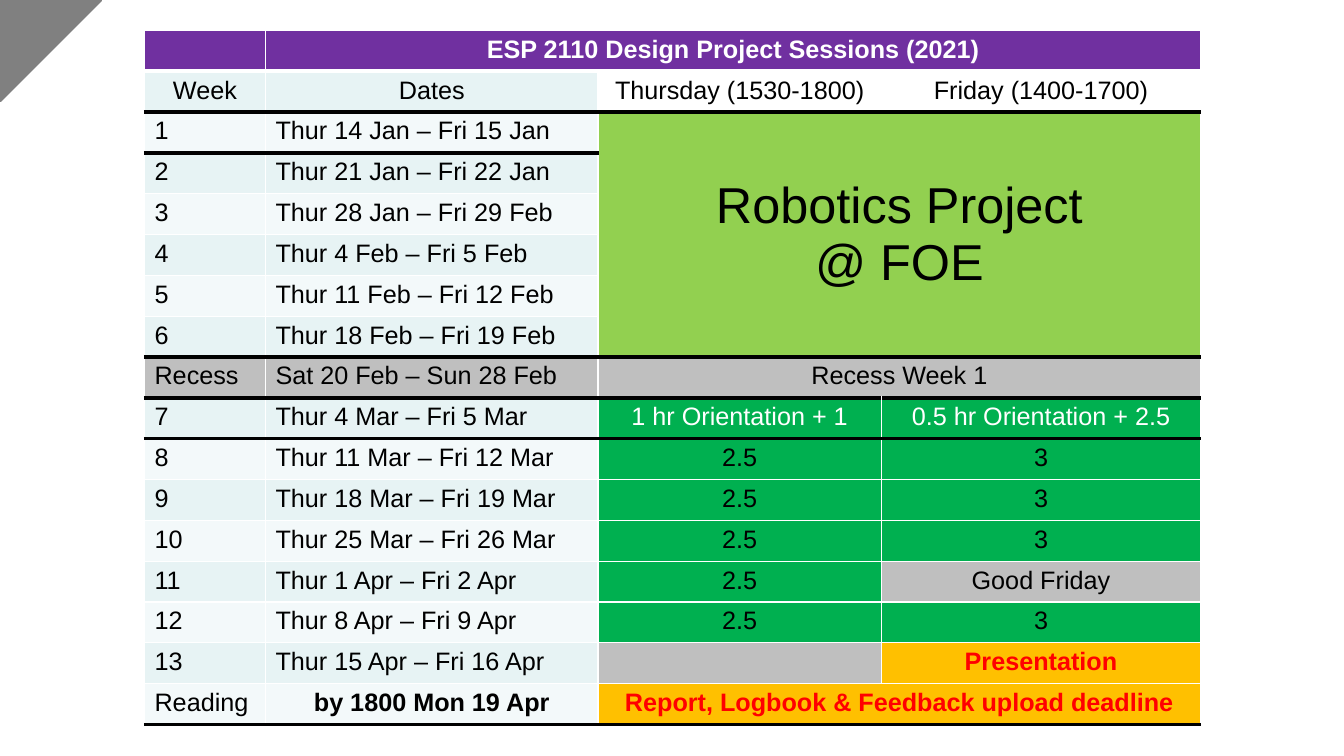
"""Build the timetable slide of the ESP 2110 design project sessions."""
from lxml import etree
from pptx import Presentation
from pptx.dml.color import RGBColor
from pptx.enum.shapes import MSO_SHAPE
from pptx.enum.text import MSO_ANCHOR, PP_ALIGN
from pptx.oxml.ns import qn
from pptx.util import Pt

COLORS = {
    "white": "FFFFFF", "black": "000000", "purple": "7030A0", "odd": "E7F3F4",
    "even": "F3F9FA", "lime": "92D050", "green": "00B050", "gray": "BFBFBF",
    "amber": "FFC000", "red": "FF0000", "corner": "808080",
}
ROWS = [
    ["", "ESP 2110 Design Project Sessions (2021)", "", ""],
    ["Week", "Dates", "Thursday (1530-1800)", "Friday (1400-1700)"],
    ["1", "Thur 14 Jan – Fri 15 Jan", "Robotics Project\n@ FOE", ""],
    ["2", "Thur 21 Jan – Fri 22 Jan", "", ""],
    ["3", "Thur 28 Jan – Fri 29 Feb", "", ""],
    ["4", "Thur 4 Feb – Fri 5 Feb", "", ""],
    ["5", "Thur 11 Feb – Fri 12 Feb", "", ""],
    ["6", "Thur 18 Feb – Fri 19 Feb", "", ""],
    ["Recess", "Sat 20 Feb – Sun 28 Feb", "Recess Week 1", ""],
    ["7", "Thur 4 Mar – Fri 5 Mar", "1 hr Orientation + 1", "0.5 hr Orientation + 2.5"],
    ["8", "Thur 11 Mar – Fri 12 Mar", "2.5", "3"],
    ["9", "Thur 18 Mar – Fri 19 Mar", "2.5", "3"],
    ["10", "Thur 25 Mar – Fri 26 Mar", "2.5", "3"],
    ["11", "Thur 1 Apr – Fri 2 Apr", "2.5", "Good Friday"],
    ["12", "Thur 8 Apr – Fri 9 Apr", "2.5", "3"],
    ["13", "Thur 15 Apr – Fri 16 Apr", "", "Presentation"],
    ["Reading", "by 1800 Mon 19 Apr", "Report, Logbook & Feedback upload deadline", ""],
]
COL_WIDTHS = [86.4, 237.6, 202.3, 228.2]
ROW_HEIGHT = 29.18
TITLE, HEADER, ROBOTICS, RECESS, WEEK_7, READING = 0, 1, 2, 8, 9, 16
MERGES = [(TITLE, 1, TITLE, 3), (ROBOTICS, 2, RECESS - 1, 3),
          (RECESS, 2, RECESS, 3), (READING, 2, READING, 3)]
BLACK_BELOW = {HEADER, ROBOTICS, RECESS - 1, RECESS, WEEK_7, READING}
SPECIAL_FILLS = {(HEADER, 2): "white", (HEADER, 3): "white", (ROBOTICS, 2): "lime",
                 (13, 3): "gray", (15, 2): "gray", (15, 3): "amber", (READING, 2): "amber"}
SPECIAL_TEXT = {(TITLE, 1): "white", (WEEK_7, 2): "white", (WEEK_7, 3): "white",
                (15, 3): "red", (READING, 2): "red"}
BOLD = {(TITLE, 1), (15, 3), (READING, 1), (READING, 2)}


def rgb(name):
    return RGBColor.from_string(COLORS[name])


def add_border(cell, side, color, width):
    ln = etree.SubElement(cell._tc.get_or_add_tcPr(), qn(f"a:ln{side}"), w=str(Pt(width)))
    fill = etree.SubElement(ln, qn("a:solidFill"))
    etree.SubElement(fill, qn("a:srgbClr"), val=COLORS[color])


prs = Presentation()
prs.slide_width, prs.slide_height = Pt(960), Pt(540)
slide = prs.slides.add_slide(prs.slide_layouts[6])

table = slide.shapes.add_table(len(ROWS), len(COL_WIDTHS), Pt(103.2), Pt(21.6),
                               Pt(sum(COL_WIDTHS)), Pt(ROW_HEIGHT * len(ROWS))).table
table.first_row = table.horz_banding = False
for column, width in zip(table.columns, COL_WIDTHS):
    column.width = Pt(width)
for row in table.rows:
    row.height = Pt(ROW_HEIGHT)
for top, left, bottom, right in MERGES:
    table.cell(top, left).merge(table.cell(bottom, right))

for i, texts in enumerate(ROWS):
    for j, text in enumerate(texts):
        cell = table.cell(i, j)
        if cell.is_spanned:
            continue
        last = i + cell.span_height - 1 if cell.is_merge_origin else i
        for side, edge in (("L", None), ("R", None), ("T", i - 1), ("B", last)):
            if edge in BLACK_BELOW:
                add_border(cell, side, "black", 3)
            else:
                add_border(cell, side, "white", 3 if edge == TITLE else 1)

        if i == TITLE:
            fill = "purple"
        elif i == RECESS:
            fill = "gray"
        elif j < 2:
            fill = "odd" if i % 2 else "even"
        else:
            fill = SPECIAL_FILLS.get((i, j), "green")
        cell.fill.solid()
        cell.fill.fore_color.rgb = rgb(fill)

        centred = j >= 2 or i in (TITLE, HEADER) or (i, j) == (READING, 1)
        big = (i, j) == (ROBOTICS, 2)
        cell.vertical_anchor = MSO_ANCHOR.MIDDLE if big else MSO_ANCHOR.TOP
        tf = cell.text_frame
        for n, line in enumerate(text.split("\n")):
            p = tf.add_paragraph() if n else tf.paragraphs[0]
            p.alignment = PP_ALIGN.CENTER if centred else PP_ALIGN.LEFT
            if not line:
                continue
            r = p.add_run()
            r.text = line
            r.font.name = "Arial"
            r.font.size = Pt(36 if big else 18)
            r.font.bold = (i, j) in BOLD
            r.font.color.rgb = rgb(SPECIAL_TEXT.get((i, j), "black"))

corner = slide.shapes.add_shape(MSO_SHAPE.RIGHT_TRIANGLE, Pt(0), Pt(0), Pt(72), Pt(72))
corner.rotation = 90
corner.shadow.inherit = False
corner.fill.solid()
corner.fill.fore_color.rgb = rgb("corner")
corner.line.color.rgb = rgb("corner")
corner.line.width = Pt(2)

prs.save("out.pptx")
